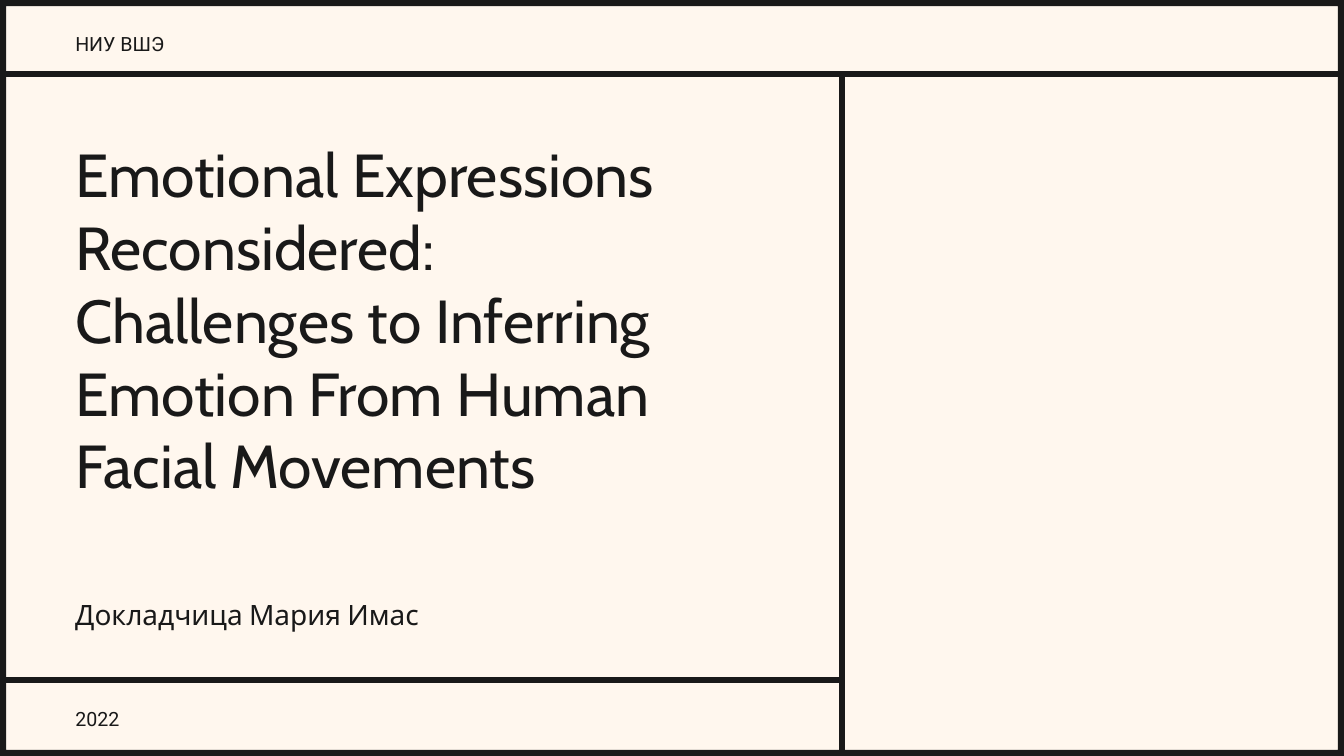
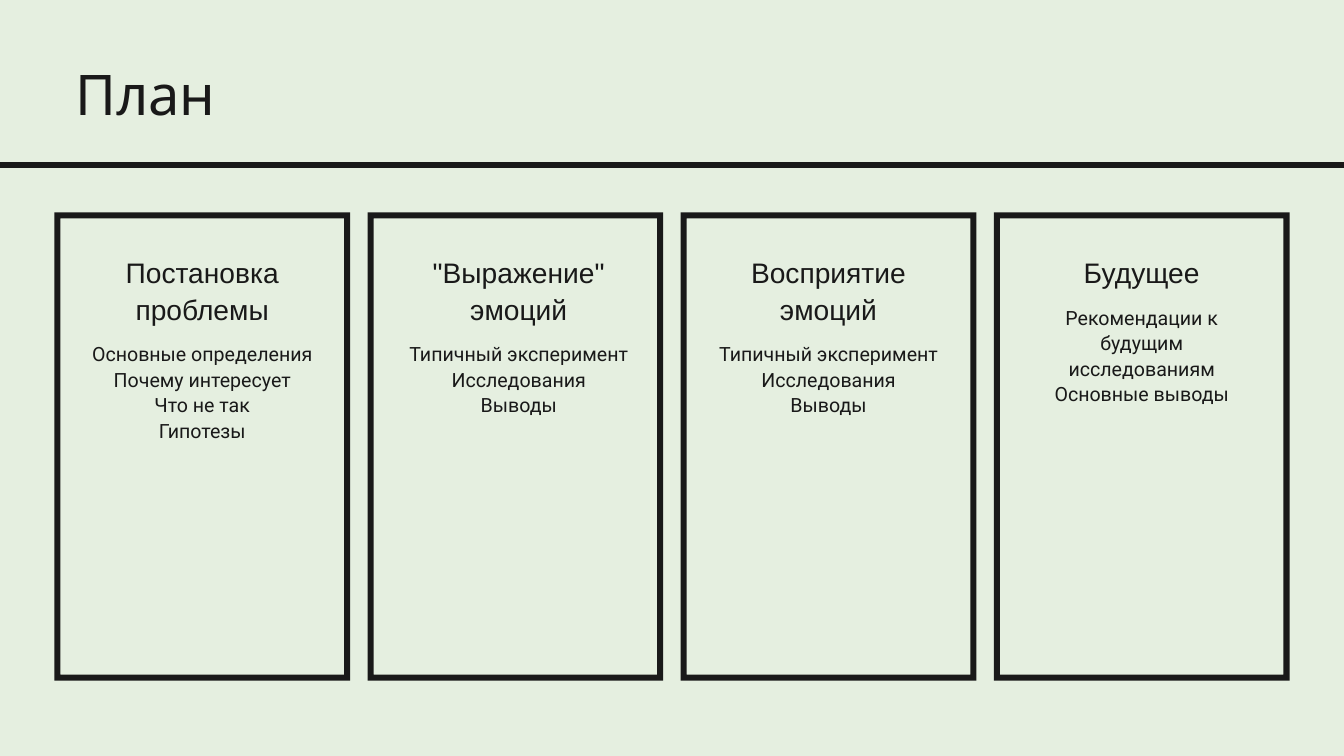
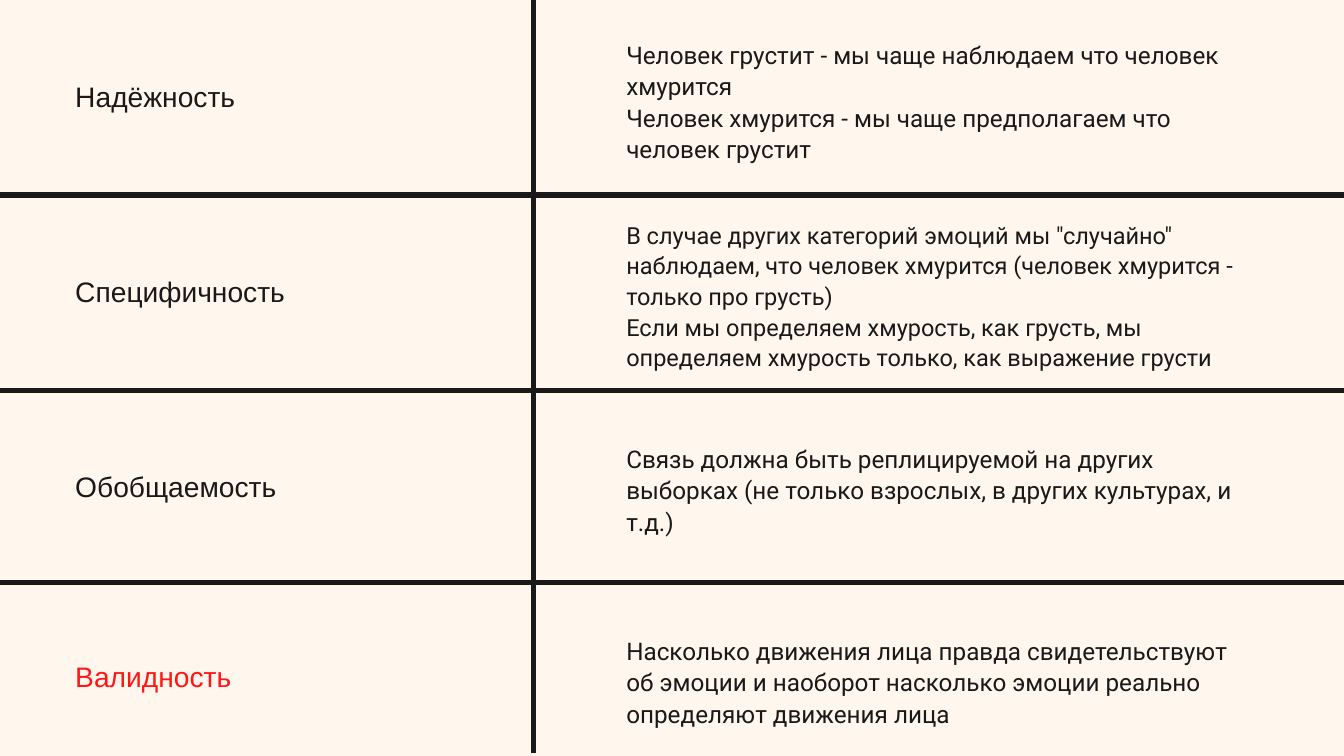
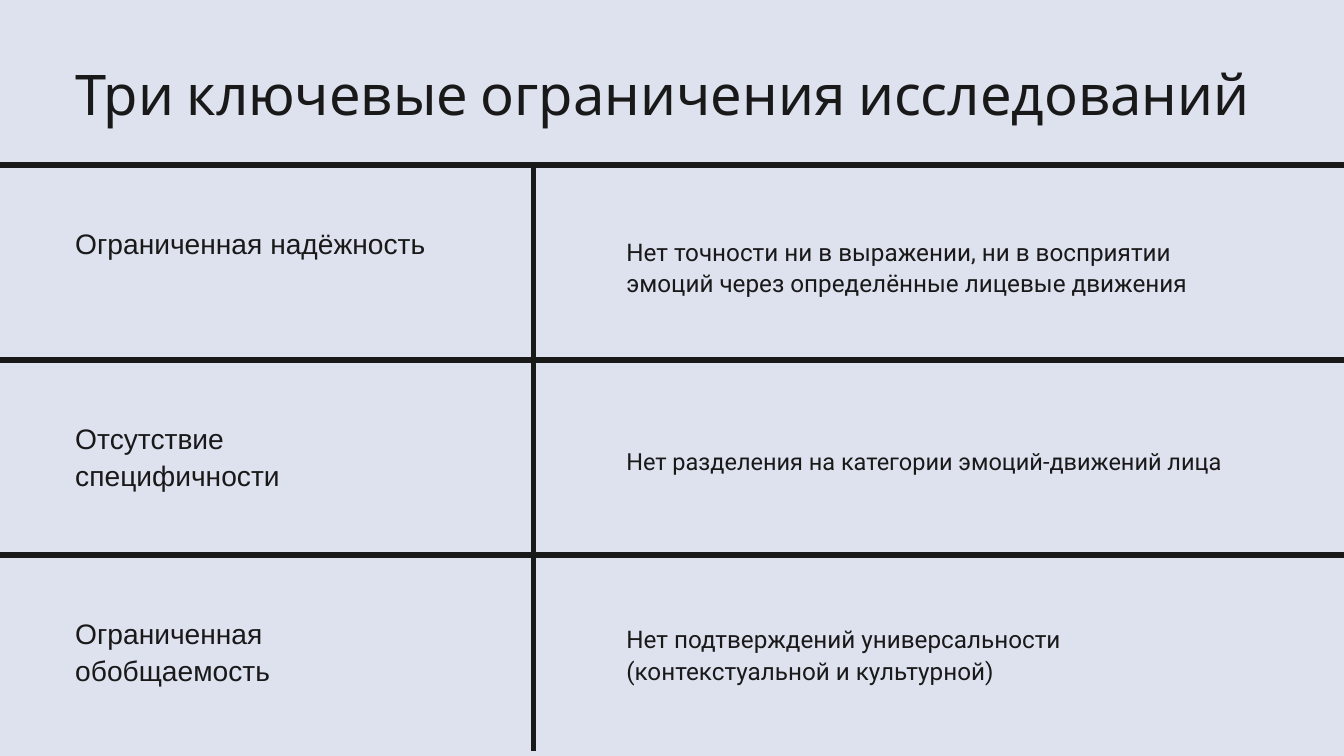
from dataclasses import dataclass

from pptx import Presentation
from pptx.dml.color import RGBColor
from pptx.enum.shapes import MSO_CONNECTOR
from pptx.enum.text import MSO_AUTO_SIZE, PP_ALIGN
from pptx.oxml.ns import qn
from pptx.presentation import Presentation as Deck
from pptx.slide import Slide
from pptx.util import Inches, Pt
from lxml.etree import SubElement

INK = "191919"
RED = "FF1616"
CREAM = "FFF7EE"
GREEN = "E5EFE0"
LAVENDER = "DEE2EF"

SLIDE_WIDTH = 20
SLIDE_HEIGHT = 11.25
MARGIN = 1.12
BORDER = 0.09
TITLE_RULE = 2.46
COLUMN_RULE = 7.94
ROW_PITCH = 2.9


@dataclass(frozen=True)
class TextStyle:
    font: str
    size: float
    spacing: float
    alignment: PP_ALIGN = PP_ALIGN.LEFT
    color: str = INK


@dataclass(frozen=True)
class Box:
    left: float
    top: float
    width: float
    height: float


@dataclass(frozen=True)
class Card:
    heading: str
    points: tuple[str, ...]
    heading_height: float = 1.12
    points_height: float = 1.12
    indent: float = 0.53


@dataclass(frozen=True)
class Row:
    label: str
    details: tuple[str, ...]
    label_top: float
    details_top: float
    details_height: float
    compact: bool = False
    color: str = INK


COVER_TITLE = TextStyle("Cabin", 65, 78)
TITLE = TextStyle("Cabin", 60, 72)
SPEAKER = TextStyle("Cabin", 30, 42)
SMALL = TextStyle("Roboto", 21, 29.4)
CARD_HEADING = TextStyle("Arial", 30.2, 39.3, PP_ALIGN.CENTER)
CARD_POINTS = TextStyle("Roboto", 21, 27.3, PP_ALIGN.CENTER)
DETAILS = TextStyle("Roboto", 26, 33.8)
COMPACT_DETAILS = TextStyle("Roboto", 25.2, 32.8)

CARDS = (
    Card("Постановка проблемы",
         ("Основные определения", "Почему интересует", "Что не так", "Гипотезы"),
         points_height=1.49),
    Card('"Выражение" эмоций',
         ("Типичный эксперимент", "Исследования", "Выводы"), indent=0.58),
    Card("Восприятие эмоций",
         ("Типичный эксперимент", "Исследования", "Выводы")),
    Card("Будущее",
         ("Рекомендации к будущим исследованиям", "Основные выводы"),
         heading_height=0.58, points_height=1.49),
)

CRITERIA = (
    Row("Надёжность",
        ("Человек грустит - мы чаще наблюдаем что человек хмурится",
         "Человек хмурится - мы чаще предполагаем что человек грустит"),
        1.14, 0.56, 1.85),
    Row("Специфичность",
        ('В случае других категорий эмоций мы "случайно" наблюдаем, '
         "что человек хмурится (человек хмурится - только про грусть)",
         "Если мы определяем хмурость, как грусть, мы определяем "
         "хмурость только, как выражение грусти"),
        4.04, 3.25, 2.23, compact=True),
    Row("Обобщаемость",
        ("Связь должна быть реплицируемой на других выборках "
         "(не только взрослых, в других культурах, и т.д.)",),
        6.94, 6.57, 1.38),
    Row("Валидность",
        ("Насколько движения лица правда свидетельствуют об эмоции "
         "и наоборот насколько эмоции реально определяют движения лица",),
        9.77, 9.43, 1.38, color=RED),
)

LIMITATIONS = (
    Row("Ограниченная надёжность",
        ("Нет точности ни в выражении, ни в восприятии эмоций "
         "через определённые лицевые движения",),
        3.33, 3.49, 0.91),
    Row("Отсутствие специфичности",
        ("Нет разделения на категории эмоций-движений лица",),
        6.23, 6.61, 0.43, compact=True),
    Row("Ограниченная обобщаемость",
        ("Нет подтверждений универсальности (контекстуальной и культурной)",),
        9.13, 9.26, 0.91),
)


def rgb(color: str) -> RGBColor:
    return RGBColor.from_string(color)


def set_attributes(target: object, values: dict[str, object]) -> None:
    for name, value in values.items():
        setattr(target, name, value)


def add_slide(presentation: Deck, background: str) -> Slide:
    slide = presentation.slides.add_slide(presentation.slide_layouts[6])
    slide.background.fill.solid()
    slide.background.fill.fore_color.rgb = rgb(background)
    return slide


def add_text(slide: Slide, box: Box, style: TextStyle, *lines: str) -> None:
    shape = slide.shapes.add_textbox(
        Inches(box.left), Inches(box.top), Inches(box.width), Inches(box.height))
    frame = shape.text_frame
    set_attributes(frame, {
        "margin_left": 0, "margin_top": 0, "margin_right": 0, "margin_bottom": 0,
        "word_wrap": True, "auto_size": MSO_AUTO_SIZE.SHAPE_TO_FIT_TEXT,
        "text": "\n".join(lines),
    })
    for paragraph in frame.paragraphs:
        set_attributes(paragraph, {
            "alignment": style.alignment, "line_spacing": Pt(style.spacing)})
        font = paragraph.runs[0].font
        set_attributes(font, {"name": style.font, "size": Pt(style.size)})
        font.color.rgb = rgb(style.color)


def add_rule(slide: Slide, x1: float, y1: float, x2: float, y2: float) -> None:
    connector = slide.shapes.add_connector(
        MSO_CONNECTOR.STRAIGHT, Inches(x1), Inches(y1), Inches(x2), Inches(y2))
    connector.line.width = Pt(6)
    connector.line.color.rgb = rgb(INK)
    SubElement(connector.element.spPr, qn("a:effectLst"))


def add_horizontal_rule(slide: Slide, top: float) -> None:
    add_rule(slide, 0, top, SLIDE_WIDTH, top)


def add_frame(slide: Slide, box: Box) -> None:
    left, top = Inches(box.left), Inches(box.top)
    right, bottom = left + Inches(box.width), top + Inches(box.height)
    edge = Inches(BORDER)
    builder = slide.shapes.build_freeform(left, top)
    builder.add_line_segments([(left, bottom), (right, bottom), (right, top)])
    builder.move_to(right - edge, bottom - edge)
    builder.add_line_segments([
        (left + edge, bottom - edge), (left + edge, top + edge),
        (right - edge, top + edge)])
    shape = builder.convert_to_shape()
    shape.shadow.inherit = False
    shape.fill.solid()
    shape.fill.fore_color.rgb = rgb(INK)
    shape.line.fill.background()


def add_title(slide: Slide, text: str, width: float) -> None:
    add_text(slide, Box(MARGIN, 0.88, width, 1.01), TITLE, text)
    add_horizontal_rule(slide, TITLE_RULE)


def add_card(slide: Slide, card: Card, left: float) -> None:
    heading = Box(left + card.indent, 3.76, 3.34, card.heading_height)
    points_top = heading.top + heading.height + 0.18
    add_frame(slide, Box(left, 3.16, 4.4, 6.97))
    add_text(slide, heading, CARD_HEADING, card.heading)
    add_text(slide, Box(heading.left, points_top, heading.width, card.points_height),
             CARD_POINTS, *card.points)


def add_rows(slide: Slide, rows: tuple[Row, ...], label_height: float) -> None:
    for row in rows:
        add_text(slide, Box(MARGIN, row.label_top, 5.34, label_height),
                 TextStyle("Arial", 30.2, 39.3, color=row.color), row.label)
        add_text(slide, Box(9.32, row.details_top, 9.24, row.details_height),
                 COMPACT_DETAILS if row.compact else DETAILS, *row.details)


def build_cover(presentation: Deck) -> None:
    slide = add_slide(presentation, CREAM)
    divider = 12.53
    add_frame(slide, Box(0, 0, SLIDE_WIDTH, SLIDE_HEIGHT))
    add_horizontal_rule(slide, 1.1)
    add_rule(slide, 0.06, 10.12, divider, 10.12)
    add_rule(slide, divider, 11.21, divider, 1.08)
    add_text(slide, Box(MARGIN, 2.04, 9.48, 6.5), COVER_TITLE,
             "Emotional Expressions Reconsidered: Challenges to Inferring "
             "Emotion From Human Facial Movements")
    add_text(slide, Box(MARGIN, 8.81, 8.13, 0.56), SPEAKER, "Докладчица Мария Имас")
    for top, text in ((0.41, "НИУ ВШЭ"), (10.46, "2022")):
        add_text(slide, Box(MARGIN, top, 10.42, 0.4), SMALL, text)


def build_plan(presentation: Deck) -> None:
    slide = add_slide(presentation, GREEN)
    add_title(slide, "План", 9.84)
    for index, card in enumerate(CARDS):
        add_card(slide, card, 0.81 + index * 4.66)


def build_criteria(presentation: Deck) -> None:
    slide = add_slide(presentation, CREAM)
    add_rows(slide, CRITERIA, 0.6)
    for top in (ROW_PITCH, 5.81, 8.67):
        add_horizontal_rule(slide, top)
    add_rule(slide, COLUMN_RULE, 11.21, COLUMN_RULE, 0)


def build_limitations(presentation: Deck) -> None:
    slide = add_slide(presentation, LAVENDER)
    add_title(slide, "Три ключевые ограничения исследований", 17.88)
    add_rows(slide, LIMITATIONS, 1.15)
    for index in range(1, len(LIMITATIONS)):
        add_horizontal_rule(slide, TITLE_RULE + index * ROW_PITCH)
    add_rule(slide, COLUMN_RULE, 11.17, COLUMN_RULE, TITLE_RULE)


def main() -> None:
    presentation = Presentation()
    set_attributes(presentation, {
        "slide_width": Inches(SLIDE_WIDTH), "slide_height": Inches(SLIDE_HEIGHT)})
    for build in (build_cover, build_plan, build_criteria, build_limitations):
        build(presentation)
    presentation.save("out.pptx")


if __name__ == "__main__":
    main()
